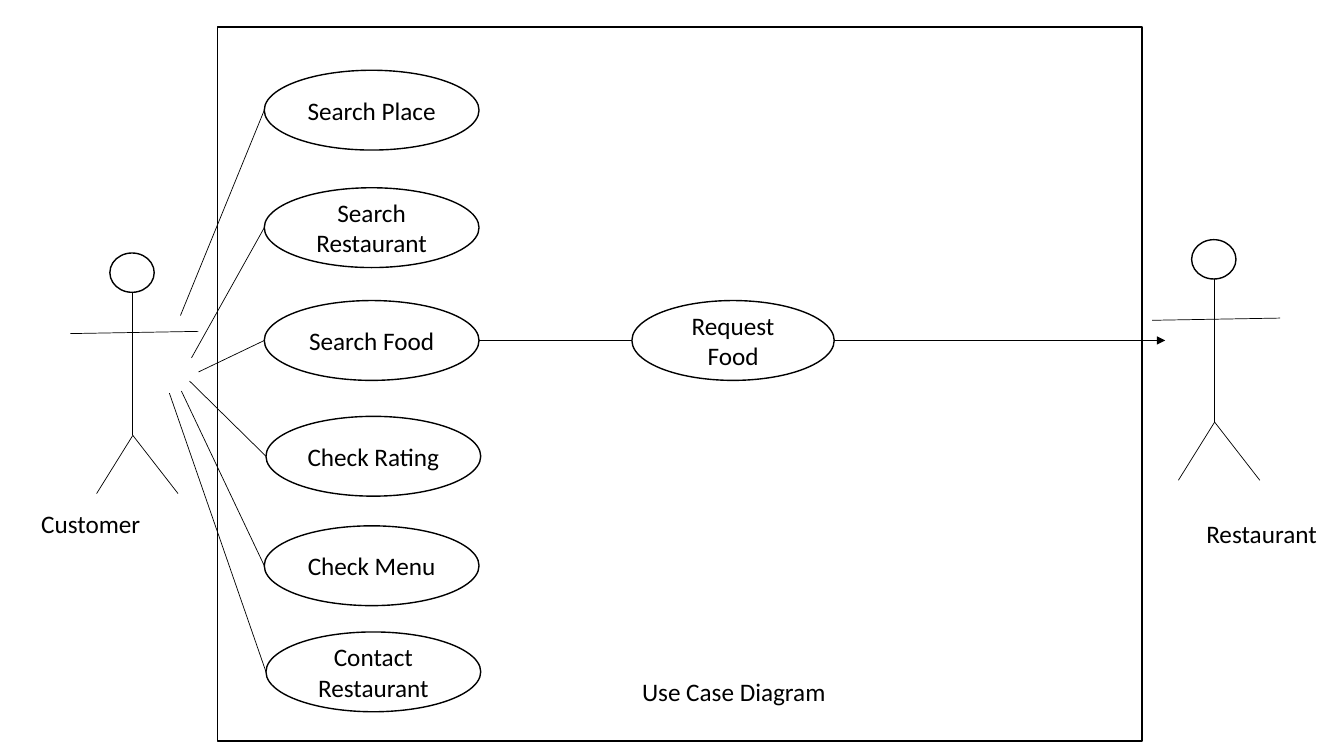
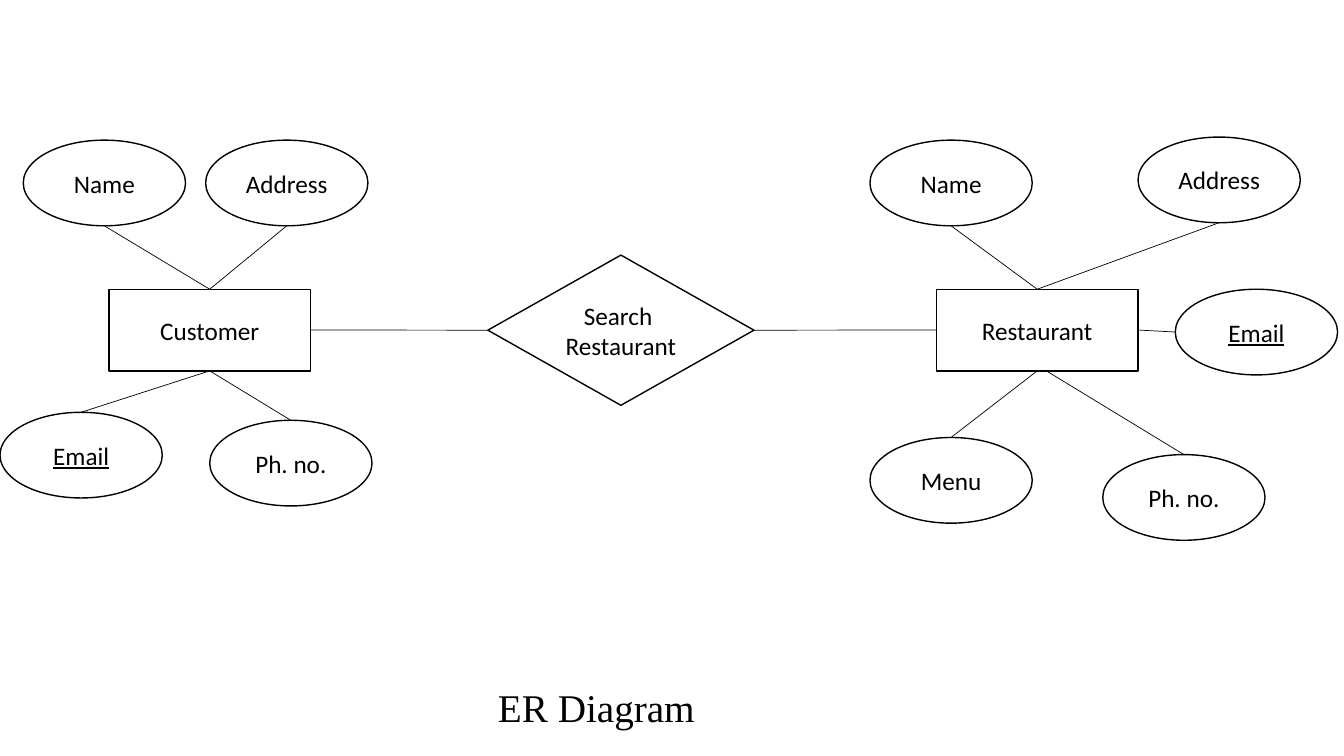
"""Build a use case diagram slide and an entity relationship diagram slide."""
from dataclasses import dataclass

from lxml.etree import SubElement
from pptx import Presentation
from pptx.dml.color import RGBColor
from pptx.enum.shapes import MSO_CONNECTOR as Connector, MSO_SHAPE as Shape
from pptx.enum.text import MSO_ANCHOR as Anchor, MSO_AUTO_SIZE as AutoSize, PP_ALIGN as Align
from pptx.oxml.ns import qn
from pptx.util import Pt


@dataclass(frozen=True)
class Theme:
    """Colours, fonts and sizes shared by the slides."""
    ink: RGBColor = RGBColor(0, 0, 0)
    paper: RGBColor = RGBColor(255, 255, 255)
    font: str = "Calibri"
    title_font: str = "Times New Roman"
    text_size: float = 18
    title_size: float = 28
    outline: float = 1
    thin: float = 0.5


THEME = Theme()
SLIDE_SIZE = (960, 540)

SYSTEM_FRAME = (155.5, 19.4, 660.2, 509.8)
CASE_SIZE = (153.4, 57)
CASES = [
    ("Search Place", (188.8, 50.2), (128.9, 225.4)),
    ("Search Restaurant", (188.8, 134.1), (136.8, 255.6)),
    ("Search Food", (188.8, 214.7), (141.8, 265.7)),
    ("Check Rating", (190, 297.4), (135.4, 272.2)),
    ("Check Menu", (188.8, 375.6), (129.6, 279.4)),
    ("Contact Restaurant", (190, 451.4), (121, 280.8)),
]
REQUEST = ("Request Food", (451.4, 214.7, 144.5, 57))
REQUESTING_CASE = "Search Food"
ARROW_END_X = 832.3
ACTORS = [
    ("Customer", (94.9, 311), (22.3, 359.3, 90, 28.8)),
    ("Restaurant", (867.6, 301.5), (854.6, 366.5, 96.5, 28.8)),
]
HEAD = (-16.4, -130.3, 31.7, 28.1)
LIMBS = [
    ((0, -102.2), (0, 0)),
    ((0, 0), (32.3, 41.6)),
    ((0, 0), (-25.9, 41.6)),
    ((-44.6, -72.7), (46.8, -74.3)),
]
USE_CASE_TITLE = ("Use Case Diagram", (451.4, 479.5, 183.6, 28.8), THEME.font, THEME.text_size)

ENTITY_SIZE = (144, 58.3)
ATTRIBUTE_SIZE = (115.9, 61.2)
KEY = "Email"
ENTITIES = [
    ("Customer", (77.8, 206.6), [
        ("Name", (16.6, 100.1), "top", 0),
        ("Address", (146.9, 100.1), "top", 0),
        ("Email", (0, 294.5), "bottom", 0),
        ("Ph. no.", (149.8, 300.2), "bottom", 0),
    ]),
    ("Restaurant", (668.9, 206.6), [
        ("Name", (621.4, 100.1), "top", 0),
        ("Address", (812.9, 97.9), "top", 0),
        ("Email", (839.5, 206.6), "right", 0),
        ("Menu", (621.4, 312.5), "bottom", 0),
        ("Ph. no.", (787.7, 324.7), "bottom", 6.5),
    ]),
]
RELATION = ("Search \nRestaurant", (348.5, 182.2, 190.1, 107.3))
ER_TITLE = ("ER Diagram", (348.5, 484.6, 347.8, 41), THEME.title_font, THEME.title_size)

SIDES = {"top": (0.5, 0), "bottom": (0.5, 1), "left": (0, 0.5), "right": (1, 0.5)}
OPPOSITE = {"top": "bottom", "bottom": "top", "left": "right", "right": "left"}


def side_point(box, side):
    """Return the middle of one side of a box."""
    left, top, width, height = box
    across, down = SIDES[side]
    return left + across * width, top + down * height


def shifted(point, offset):
    """Return a point moved by an offset."""
    return point[0] + offset[0], point[1] + offset[1]


def apply_format(target, values):
    """Set attributes from a dict of format values."""
    for name, value in values.items():
        setattr(target, name, value)


def write_text(shape, text, align, anchor, font=THEME.font, size=THEME.text_size, underline=None):
    """Fill a shape with formatted text."""
    frame = shape.text_frame
    frame.text = text
    apply_format(frame, {"word_wrap": True, "auto_size": AutoSize.NONE, "vertical_anchor": anchor})
    for paragraph in frame.paragraphs:
        paragraph.alignment = align
        for run in paragraph.runs:
            apply_format(run.font, {"name": font, "size": Pt(size), "underline": underline})
            run.font.color.rgb = THEME.ink


def add_node(slide, kind, box, text="", underline=None):
    """Add a white outlined shape with centred text."""
    shape = slide.shapes.add_shape(kind, *map(Pt, box))
    shape.shadow.inherit = False
    shape.fill.solid()
    shape.fill.fore_color.rgb = THEME.paper
    shape.line.color.rgb = THEME.ink
    shape.line.width = Pt(THEME.outline)
    if text:
        write_text(shape, text, Align.CENTER, Anchor.MIDDLE, underline=underline)


def add_line(slide, start, end, arrow=False):
    """Add a thin straight connector, with an arrowhead if asked."""
    connector = slide.shapes.add_connector(Connector.STRAIGHT, *map(Pt, (*start, *end)))
    connector.line.color.rgb = THEME.ink
    connector.line.width = Pt(THEME.thin)
    properties = connector._element.spPr
    if arrow:
        SubElement(properties.find(qn("a:ln")), qn("a:tailEnd"), type="triangle")
    SubElement(properties, qn("a:effectLst"))


def add_label(slide, text, box):
    """Add a left-aligned text box."""
    label = slide.shapes.add_textbox(*map(Pt, box))
    write_text(label, text, Align.LEFT, Anchor.TOP)


def place_title(slide, text, box, font, size):
    """Move the title placeholder to the front and format it."""
    title = slide.shapes.title
    apply_format(title, dict(zip(("left", "top", "width", "height"), map(Pt, box))))
    write_text(title, text, Align.LEFT, Anchor.TOP, font, size)
    slide.shapes._spTree.append(title._element)


def add_actor(slide, name, hip, label_box):
    """Draw a stick figure around its hip, with its name."""
    add_node(slide, Shape.OVAL, (*shifted(hip, HEAD[:2]), *HEAD[2:]))
    for start, end in LIMBS:
        add_line(slide, shifted(hip, start), shifted(hip, end))
    add_label(slide, name, label_box)


def build_use_cases(slide):
    """Draw the actors, the system frame and its use cases."""
    for actor in ACTORS:
        add_actor(slide, *actor)
    add_node(slide, Shape.RECTANGLE, SYSTEM_FRAME)
    request_text, request_box = REQUEST
    for text, corner, start in CASES:
        box = (*corner, *CASE_SIZE)
        add_node(slide, Shape.OVAL, box, text)
        add_line(slide, start, side_point(box, "left"))
        if text == REQUESTING_CASE:
            add_line(slide, side_point(box, "right"), side_point(request_box, "left"))
    add_node(slide, Shape.OVAL, request_box, request_text)
    request_end = side_point(request_box, "right")
    add_line(slide, request_end, (ARROW_END_X, request_end[1]), arrow=True)
    place_title(slide, *USE_CASE_TITLE)


def build_entities(slide):
    """Draw the entities, their attributes and the relation."""
    relation_text, relation_box = RELATION
    add_node(slide, Shape.DIAMOND, relation_box, relation_text)
    for (name, corner, attributes), side in zip(ENTITIES, ("right", "left")):
        entity_box = (*corner, *ENTITY_SIZE)
        add_node(slide, Shape.RECTANGLE, entity_box, name)
        add_line(slide, side_point(entity_box, side), side_point(relation_box, OPPOSITE[side]))
        for text, place, edge, shift in attributes:
            box = (*place, *ATTRIBUTE_SIZE)
            add_node(slide, Shape.OVAL, box, text, underline=True if text == KEY else None)
            start = shifted(side_point(entity_box, edge), (shift, 0))
            add_line(slide, start, side_point(box, OPPOSITE[edge]))
    place_title(slide, *ER_TITLE)


presentation = Presentation()
presentation.slide_width, presentation.slide_height = map(Pt, SLIDE_SIZE)
title_only = presentation.slide_layouts[5]
for build in (build_use_cases, build_entities):
    build(presentation.slides.add_slide(title_only))
presentation.save("out.pptx")
